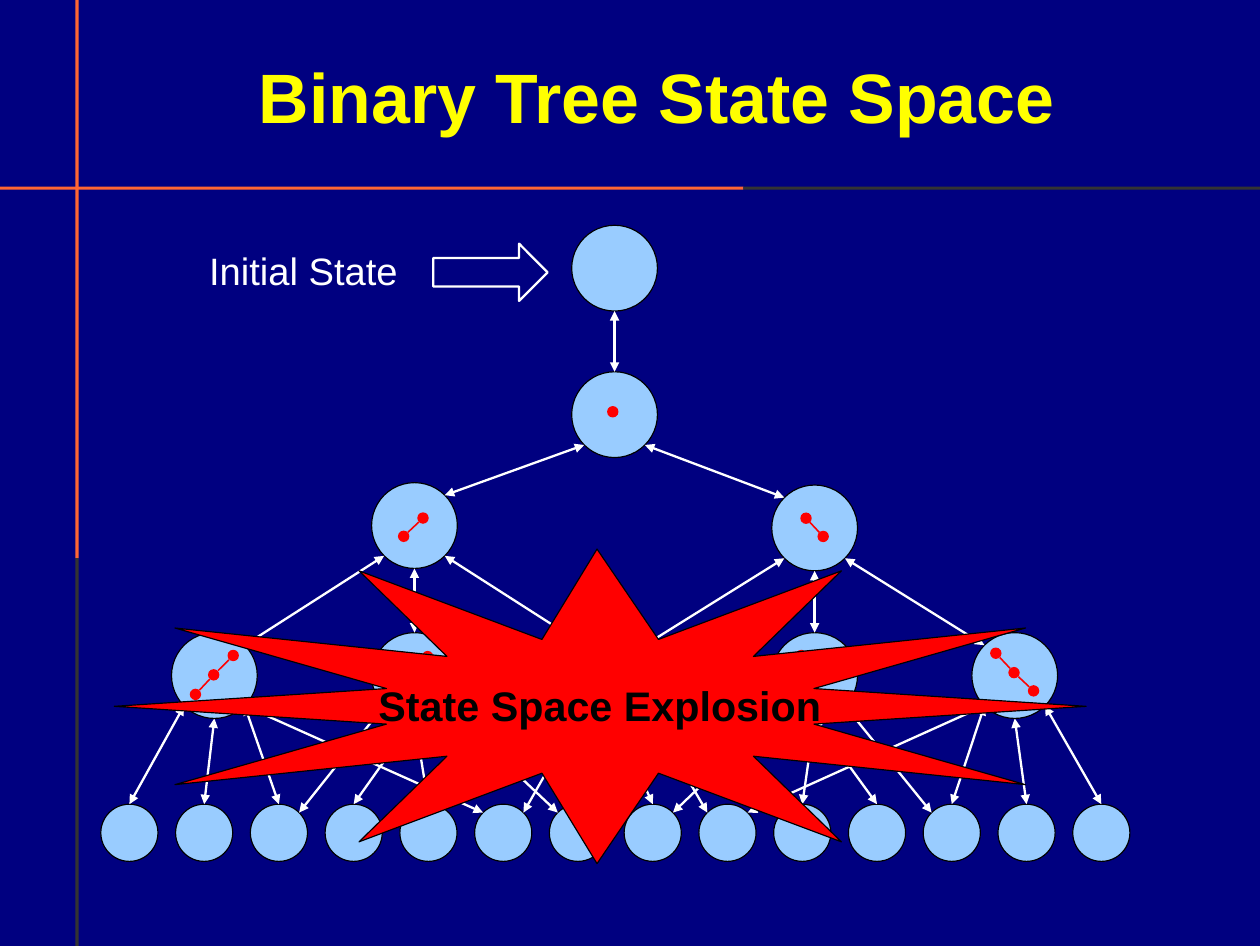
from dataclasses import dataclass
from math import sqrt

from lxml import etree
from pptx import Presentation
from pptx.dml.color import RGBColor
from pptx.enum.shapes import MSO_CONNECTOR, MSO_SHAPE
from pptx.enum.text import MSO_ANCHOR, MSO_AUTO_SIZE, PP_ALIGN
from pptx.oxml.ns import qn
from pptx.util import Pt

STRAIGHT = MSO_CONNECTOR.STRAIGHT
ELLIPSE, RECTANGLE, RIGHT_ARROW = MSO_SHAPE.OVAL, MSO_SHAPE.RECTANGLE, MSO_SHAPE.RIGHT_ARROW
TOP_ANCHOR, MIDDLE = MSO_ANCHOR.TOP, MSO_ANCHOR.MIDDLE
NO_AUTOFIT = MSO_AUTO_SIZE.NONE
CENTER = PP_ALIGN.CENTER

Point = tuple[float, float]


@dataclass(frozen=True)
class Theme:
    font: str = "Arial"
    background: str = "000080"
    title: str = "FFFF00"
    state: str = "99CCFF"
    outline: str = "000000"
    link: str = "FFFFFF"
    accent: str = "FF0000"
    rule_bright: str = "FF6633"
    rule_dark: str = "333333"
    title_size: float = 44
    label_size: float = 24
    burst_size: float = 26
    outline_width: float = 0.75
    link_width: float = 1.45
    branch_width: float = 1


@dataclass(frozen=True)
class State:
    x: float
    y: float
    diameter: float = 54
    tree: tuple[Point, ...] = ()

    def site(self, direction: Point) -> Point:
        radius = self.diameter / 2
        return self.x + radius * direction[0], self.y + radius * direction[1]


@dataclass(frozen=True)
class Link:
    start: State
    start_site: Point
    end: State
    end_site: Point


THEME = Theme()
PAGE_WIDTH, PAGE_HEIGHT = 793.44, 595.44
DIAGONAL = sqrt(0.5)
TOP, BOTTOM = (0, -1), (0, 1)
TOP_LEFT, TOP_RIGHT = (-DIAGONAL, -DIAGONAL), (DIAGONAL, -DIAGONAL)
BOTTOM_LEFT, BOTTOM_RIGHT = (-DIAGONAL, DIAGONAL), (DIAGONAL, DIAGONAL)
DOT_DIAMETER = 7.2
BRANCH_TRIM = 0.22
COLUMNS = [135 + 126 * column for column in range(5)]

EMPTY = State(COLUMNS[2], 168.8)
SINGLE = State(COLUMNS[2], 261, tree=((-1.1, -1.8),))
LEFT = State(COLUMNS[1], 330.8, tree=((5.4, -4.7), (-6.8, 6.8)))
RIGHT = State(COLUMNS[3], 332.3, tree=((-5.4, -6.1), (5.4, 5.4)))
TRIPLE_TREES = (
    ((11.9, -12.6), (-0.4, -0.4), (-11.9, 11.9)),
    ((8.3, -11.9), (-9.7, 0.4), (1.1, 12.6)),
    ((-11.2, 4), (0.4, -8.3), (11.2, 4)),
    ((-8.3, -12.6), (8.3, -0.4), (-4, 11.9)),
    ((-11.9, -14), (-0.4, -1.8), (11.9, 9.7)),
)
TRIPLES = [State(x, 425.2, tree=tree) for x, tree in zip(COLUMNS, TRIPLE_TREES)]
LEAVES = [State(81.5 + 47.08 * index, 524.2, 36) for index in range(14)]

LEAF_TARGETS = (
    ((BOTTOM_LEFT, 0, TOP), (BOTTOM, 1, TOP), (BOTTOM_RIGHT, 2, TOP), (BOTTOM_RIGHT, 5, TOP_LEFT)),
    ((BOTTOM_LEFT, 2, TOP_RIGHT), (BOTTOM, 3, TOP), (BOTTOM, 4, TOP), (BOTTOM_RIGHT, 6, TOP_LEFT)),
    ((BOTTOM_LEFT, 5, TOP_RIGHT), (BOTTOM, 6, TOP), (BOTTOM, 7, TOP), (BOTTOM_RIGHT, 8, TOP_LEFT)),
    ((BOTTOM_LEFT, 7, TOP_RIGHT), (BOTTOM, 9, TOP), (BOTTOM, 10, TOP), (BOTTOM_RIGHT, 11, TOP_LEFT)),
    ((BOTTOM_RIGHT, 13, TOP), (BOTTOM, 12, TOP), (BOTTOM_LEFT, 11, TOP), (BOTTOM_LEFT, 8, TOP_RIGHT)),
)
LEAF_LINKS = [
    Link(parent, start_site, LEAVES[leaf], end_site)
    for parent, targets in zip(TRIPLES, LEAF_TARGETS)
    for start_site, leaf, end_site in targets
]
UPPER_LINKS = [
    Link(EMPTY, BOTTOM, SINGLE, TOP),
    Link(SINGLE, BOTTOM_LEFT, LEFT, TOP_RIGHT),
    Link(SINGLE, BOTTOM_RIGHT, RIGHT, TOP_LEFT),
] + [
    Link(parent, start_site, TRIPLES[column + shift], end_site)
    for parent, column in ((LEFT, 1), (RIGHT, 3))
    for start_site, shift, end_site in (
        (BOTTOM_LEFT, -1, TOP_RIGHT), (BOTTOM, 0, TOP), (BOTTOM_RIGHT, 1, TOP_LEFT))
]

BURST_CENTER = (378, 444.6)
BURST_APEX = (-2, -99)
BURST_QUARTER = ((36.7, -42.1), (151.9, -85.3), (96.5, -31.4), (267.8, -49.3), (134.6, -11.2))
BURST_TIP = (306, 0)


def color(value: str) -> RGBColor:
    return RGBColor.from_string(value)


def add_figure(page, kind, left: float, top: float, width: float, height: float,
               fill: str, line: str = "", line_width: float = THEME.outline_width):
    shape = page.shapes.add_shape(kind, Pt(left), Pt(top), Pt(width), Pt(height))
    paint(shape, fill, line, line_width)
    return shape


def paint(shape, fill: str, line: str, line_width: float) -> None:
    shape.shadow.inherit = False
    shape.fill.solid()
    shape.fill.fore_color.rgb = color(fill)
    if line:
        shape.line.color.rgb = color(line)
        shape.line.width = Pt(line_width)
    else:
        shape.line.fill.background()


def add_disc(page, x: float, y: float, diameter: float, fill: str, line: str = "") -> None:
    add_figure(page, ELLIPSE, x - diameter / 2, y - diameter / 2, diameter, diameter, fill, line)


def add_line(page, start: Point, end: Point, line: str, width: float, arrows: bool) -> None:
    connector = page.shapes.add_connector(STRAIGHT, *map(Pt, (*start, *end)))
    connector.line.color.rgb = color(line)
    connector.line.width = Pt(width)
    properties = connector._element.spPr
    if arrows:
        for tag in ("a:headEnd", "a:tailEnd"):
            etree.SubElement(properties.find(qn("a:ln")), qn(tag), type="triangle")
    etree.SubElement(properties, qn("a:effectLst"))


def add_link(page, link: Link) -> None:
    add_line(page, link.start.site(link.start_site), link.end.site(link.end_site),
             THEME.link, THEME.link_width, True)


def add_state(page, state: State) -> None:
    add_disc(page, state.x, state.y, state.diameter, THEME.state, THEME.outline)
    dots = [(state.x + dx, state.y + dy) for dx, dy in state.tree]
    for x, y in dots:
        add_disc(page, x, y, DOT_DIAMETER, THEME.accent)
    for (x1, y1), (x2, y2) in zip(dots, dots[1:]):
        dx, dy = (x2 - x1) * BRANCH_TRIM, (y2 - y1) * BRANCH_TRIM
        add_line(page, (x1 + dx, y1 + dy), (x2 - dx, y2 - dy),
                 THEME.accent, THEME.branch_width, False)


def write(box, text: str, size: float, fill: str, bold: bool, anchor,
          insets: tuple[float, float, float, float] = (7.2, 5, 7.2, 3.6), wrap: bool = True) -> None:
    frame = box.text_frame
    frame.text = text
    frame.auto_size = NO_AUTOFIT
    frame.word_wrap = wrap
    frame.vertical_anchor = anchor
    frame.margin_left, frame.margin_top, frame.margin_right, frame.margin_bottom = map(Pt, insets)
    para = frame.paragraphs[0]
    para.alignment = CENTER
    para.line_spacing = 0.93
    para.space_before = Pt(0)
    font = para.runs[0].font
    font.name, font.size, font.bold = THEME.font, Pt(size), bold
    font.color.rgb = color(fill)


def add_burst(page) -> None:
    right = [*BURST_QUARTER, BURST_TIP, *((x, -y) for x, y in reversed(BURST_QUARTER))]
    left = [(-x, -y) for x, y in right]
    offsets = [BURST_APEX, *right, (BURST_APEX[0], -BURST_APEX[1]), *left]
    points = [(Pt(BURST_CENTER[0] + x), Pt(BURST_CENTER[1] + y)) for x, y in offsets]
    builder = page.shapes.build_freeform(*points[0], scale=1.0)
    builder.add_line_segments(points[1:], close=True)
    burst = builder.convert_to_shape()
    paint(burst, THEME.accent, THEME.outline, THEME.outline_width)
    write(burst, "State Space Explosion", THEME.burst_size, THEME.outline, True, MIDDLE, wrap=False)


def main() -> None:
    deck = Presentation()
    deck.slide_width, deck.slide_height = Pt(PAGE_WIDTH), Pt(PAGE_HEIGHT)
    page = deck.slides.add_slide(deck.slide_layouts[5])
    page.background.fill.solid()
    page.background.fill.fore_color.rgb = color(THEME.background)

    for start, end, fill in ((0, 0.59, THEME.rule_bright), (0.59, 1, THEME.rule_dark)):
        across, down = PAGE_WIDTH * (end - start), PAGE_HEIGHT * (end - start)
        add_figure(page, RECTANGLE, PAGE_WIDTH * start, 117.4, across, 2, fill)
        add_figure(page, RECTANGLE, 47.5, PAGE_HEIGHT * start, 2, down, fill)

    title = page.shapes.title
    title.left, title.top, title.width, title.height = map(Pt, (56.9, 12.2, 714.2, 99.4))
    write(title, "Binary Tree State Space", THEME.title_size, THEME.title, True, MIDDLE, (0, 2.9, 0, 0))

    for state in (EMPTY, *LEAVES):
        add_state(page, state)
    for link in LEAF_LINKS:
        add_link(page, link)
    for state in (SINGLE, LEFT, RIGHT, *TRIPLES):
        add_state(page, state)
    for link in UPPER_LINKS:
        add_link(page, link)

    label = page.shapes.add_textbox(*map(Pt, (113, 153.4, 156.2, 33.8)))
    write(label, "Initial State", THEME.label_size, THEME.link, False, TOP_ANCHOR)
    add_figure(page, RIGHT_ARROW, 272.9, 153.4, 72, 36, THEME.background, THEME.link, THEME.link_width)
    add_burst(page)
    deck.save("out.pptx")


if __name__ == "__main__":
    main()
